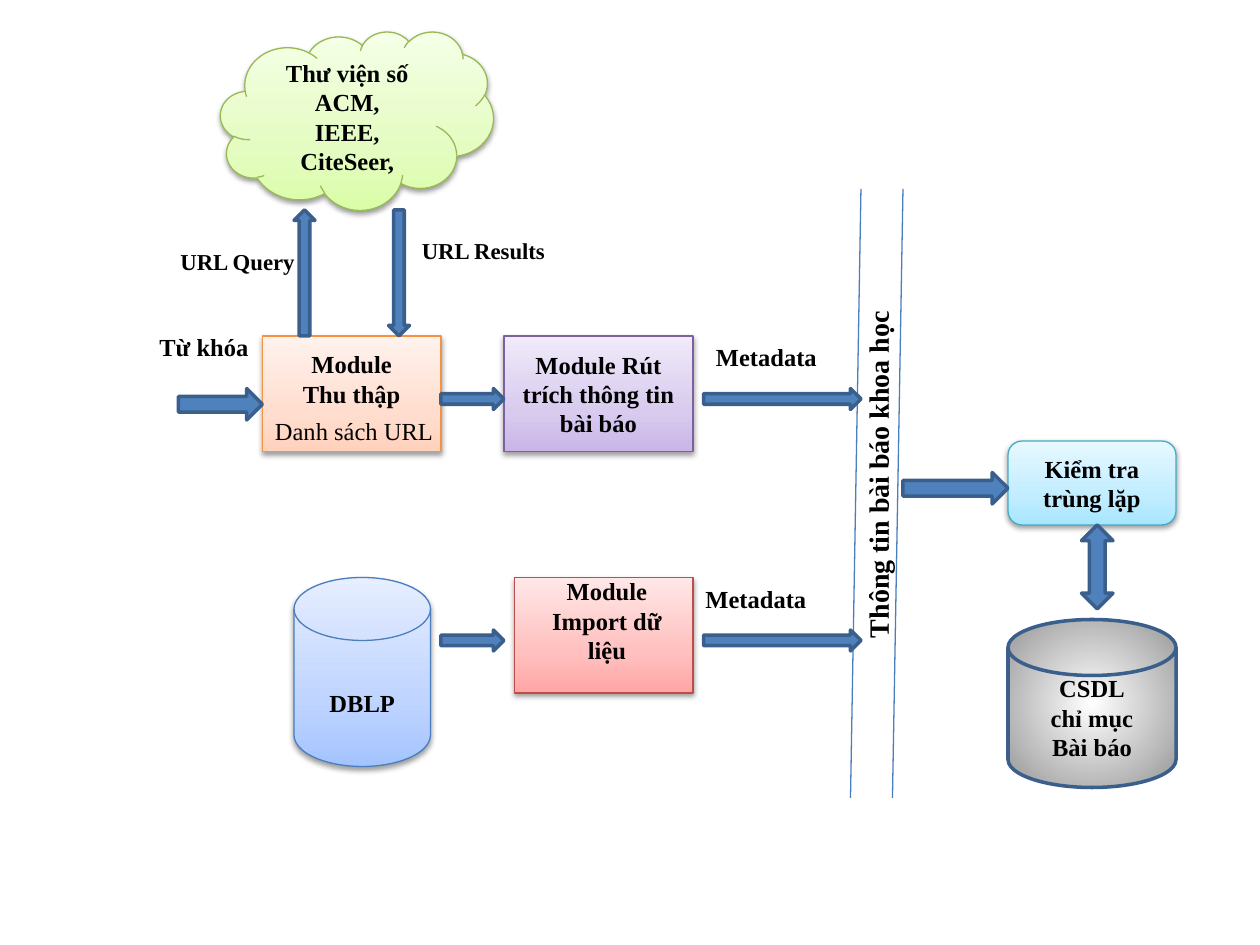
from pptx import Presentation
from pptx import util as u
from pptx.dml.color import RGBColor
from pptx.enum import shapes, text
from pptx.oxml import parse_xml
from pptx.oxml.ns import nsdecls, qn

COLORS = {"text": "000000", "arrow": "4F81BD", "arrow_edge": "3A5F8C", "line": "4B7EBC"}
# name: (edge, gradient stops)
STYLES = {
    "green": ("98B955", [(0, "DAFDA7"), (35, "E4FCC2"), (100, "F5FFE7")]),
    "cyan": ("46AAC5", [(0, "A7E6FF"), (35, "C1EDFF"), (100, "E7F8FF")]),
    "purple": ("7D60A0", [(0, "C9B5E8"), (35, "D8CBEE"), (100, "F0EAF9")]),
    "blue": ("4B7EBC", [(0, "A4C4FF"), (35, "BFD4FF"), (100, "E6EEFF")]),
    "orange": ("F69240", [(0, "FFD2BD"), (35, "FFDED0"), (100, "FFF2ED")]),
    "red": ("BF4C48", [(0, "FFA6A5"), (35, "FFC0BF"), (100, "FFE7E7")]),
    "grey": ("3A5F8C", [(0, "FFFFFF"), (100, "979797")]),
}
SHADOW = (f'<a:outerShdw {nsdecls("a")} blurRad="40000" dist="20000" dir="5400000" '
          'rotWithShape="0"><a:srgbClr val="000000"><a:alpha val="38000"/></a:srgbClr>'
          '</a:outerShdw>')


def grid(*units):
    """Lengths on a grid of 120 by 90 units over the slide."""
    return [u.Cm(n * 25.4 / 120) for n in units]


def write(sp, words, size=14, bold=True, align=None):
    tf = sp.text_frame
    tf.text = words
    for p in tf.paragraphs:
        p.alignment = align
        for r in p.runs:
            r.font.name, r.font.size, r.font.bold = "Times New Roman", u.Pt(size), bold
            r.font.color.rgb = RGBColor.from_string(COLORS["text"])


prs = Presentation()
prs.slide_width, prs.slide_height = u.Cm(25.4), u.Cm(19.05)
s = prs.slides.add_slide(prs.slide_layouts[6])
M = shapes.MSO_SHAPE

# Boxes: kind, place, style, text, extra left, top and bottom inset in cm
boxes = [
    (M.FLOWCHART_MAGNETIC_DISK, (96, 59, 16, 16), "grey", "CSDL\nchỉ mục\nBài báo", 0, 0, 0),
    (M.CLOUD, (21, 3, 26, 17), "green", "Thư viện số ACM,\nIEEE,\nCiteSeer,", 0, 0, 0),
    (M.FLOWCHART_ALTERNATE_PROCESS, (96, 42, 16, 8), "cyan", "Kiểm tra trùng lặp", 0, 0, 0),
    (M.RECTANGLE, (48, 32, 18, 11), "purple", "Module Rút trích thông tin bài báo", 0, 0, 0),
    (M.FLOWCHART_MAGNETIC_DISK, (28, 55, 13, 18), "blue", "DBLP", 0, 0.6, 0),
    (M.RECTANGLE, (25, 32, 17, 11), "orange", "Module\nThu thập", 0, 0, 0.6),
    (M.RECTANGLE, (49, 55, 17, 11), "red", "Module\nImport dữ liệu", 0.13, 0, 0.6),
]
for kind, place, style, words, left, top, bottom in boxes:
    sp = s.shapes.add_shape(kind, *grid(*place))
    edge, stops = STYLES[style]
    radial = style == "grey"
    direction = ('<a:path path="circle"><a:fillToRect l="50000" t="50000" r="50000" b="50000"/>'
                 '</a:path>' if radial else '<a:lin ang="16200000" scaled="0"/>')
    gs = "".join(f'<a:gs pos="{pos * 1000}"><a:srgbClr val="{c}"/></a:gs>' for pos, c in stops)
    sp.fill.gradient()
    spPr = sp._element.spPr
    spPr.replace(spPr.find(qn("a:gradFill")), parse_xml(
        f'<a:gradFill {nsdecls("a")} rotWithShape="1"><a:gsLst>{gs}</a:gsLst>{direction}</a:gradFill>'))
    sp.line.color.rgb = RGBColor.from_string(edge)
    sp.line.width = u.Pt(2 if radial else 0.75)
    sp.shadow.inherit = False
    if not radial:
        spPr.find(qn("a:effectLst")).append(parse_xml(SHADOW))
    tf = sp.text_frame
    tf.word_wrap = True
    tf.vertical_anchor = text.MSO_ANCHOR.MIDDLE
    tf.margin_left = u.Cm(0.25 + left)
    tf.margin_top, tf.margin_bottom = u.Cm(0.13 + top), u.Cm(0.13 + bottom)
    write(sp, words, align=text.PP_ALIGN.CENTER)

# Two slanted lines that hold the vertical caption
for x in (82, 86):
    line = s.shapes.add_connector(shapes.MSO_CONNECTOR.STRAIGHT, *grid(x, 18, x - 1, 76))
    line.line.color.rgb = RGBColor.from_string(COLORS["line"])
    line.line.width = u.Pt(0.75)
    line._element.spPr.append(parse_xml(f'<a:effectLst {nsdecls("a")}/>'))

arrows = [
    (M.RIGHT_ARROW, (17, 37, 8, 3)),
    (M.RIGHT_ARROW, (86, 45, 10, 3)),
    (M.UP_DOWN_ARROW, (103, 50, 3, 8)),
    (M.DOWN_ARROW, (37, 20, 2, 12)),
    (M.UP_ARROW, (28, 20, 2, 12)),
]
for y in (37, 60):
    arrows += [(M.RIGHT_ARROW, (42, y, 6, 2)), (M.RIGHT_ARROW, (67, y, 15, 2))]
for kind, place in arrows:
    sp = s.shapes.add_shape(kind, *grid(*place))
    sp.fill.solid()
    sp.fill.fore_color.rgb = RGBColor.from_string(COLORS["arrow"])
    sp.line.color.rgb = RGBColor.from_string(COLORS["arrow_edge"])
    sp.line.width = u.Pt(2)
    sp.shadow.inherit = False

# Labels: text, place, size, bold, wrap, rotation
labels = [
    ("Thông tin bài báo khoa học", (63.6, 39.75, 40, 4.4), 16, True, True, 270),
    ("Metadata", (67, 32, 21, 4), 14, True, True, 0),
    ("Metadata", (66, 55, 21, 4), 14, True, True, 0),
    ("Từ khóa", (14, 31, 11.3, 4), 14, True, True, 0),
    ("Danh sách URL", (25, 39, 17.6, 4), 14, False, False, 0),
    ("URL Query", (16, 23, 16.3, 3.8), 13, True, True, 0),
    ("URL Results", (39, 22, 16.3, 3.8), 13, True, True, 0),
]
for words, place, size, bold, wrap, rotation in labels:
    sp = s.shapes.add_textbox(*grid(*place))
    sp.rotation = rotation
    sp.text_frame.word_wrap = wrap
    sp.text_frame.auto_size = text.MSO_AUTO_SIZE.SHAPE_TO_FIT_TEXT
    write(sp, words, size, bold)

prs.save("out.pptx")
